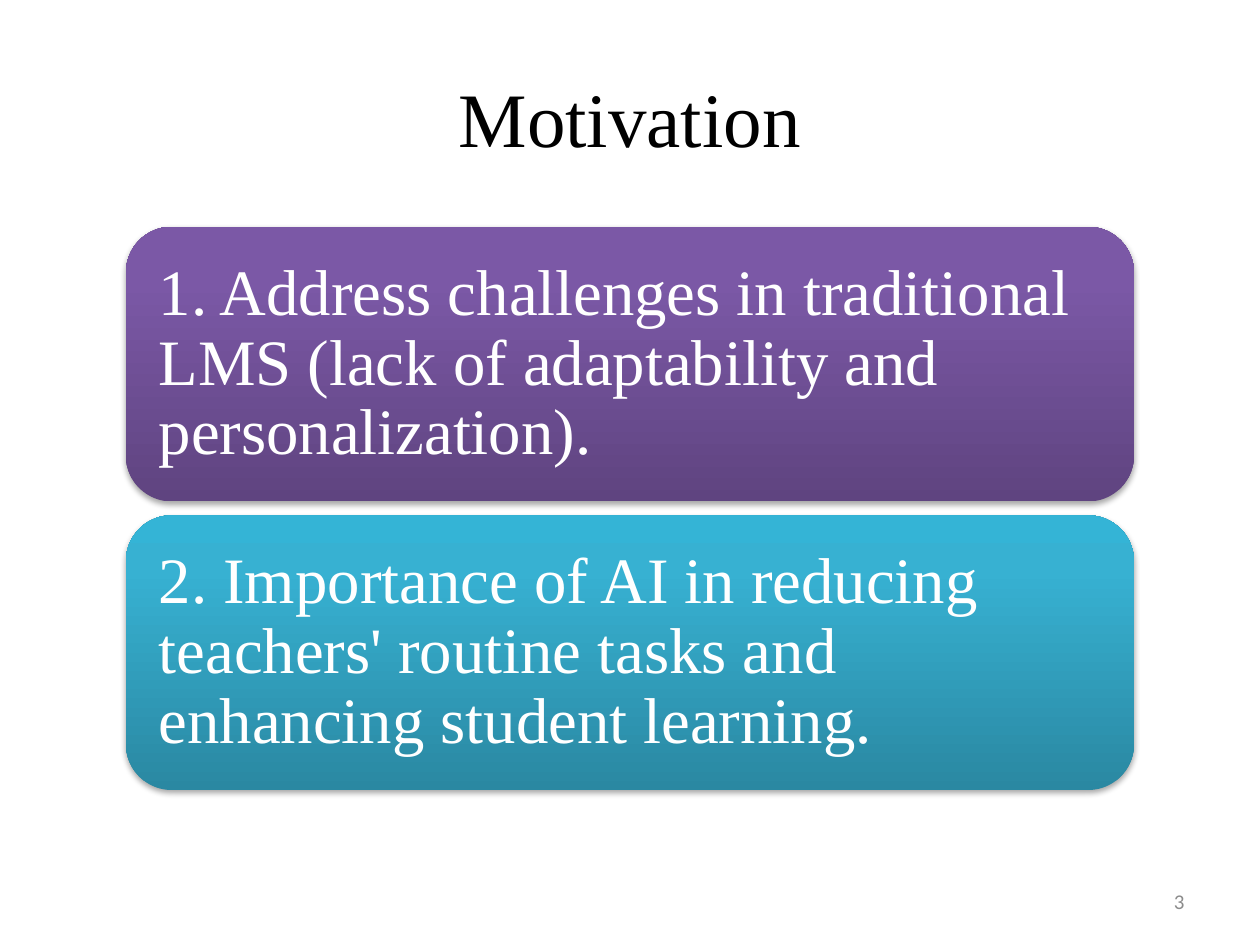
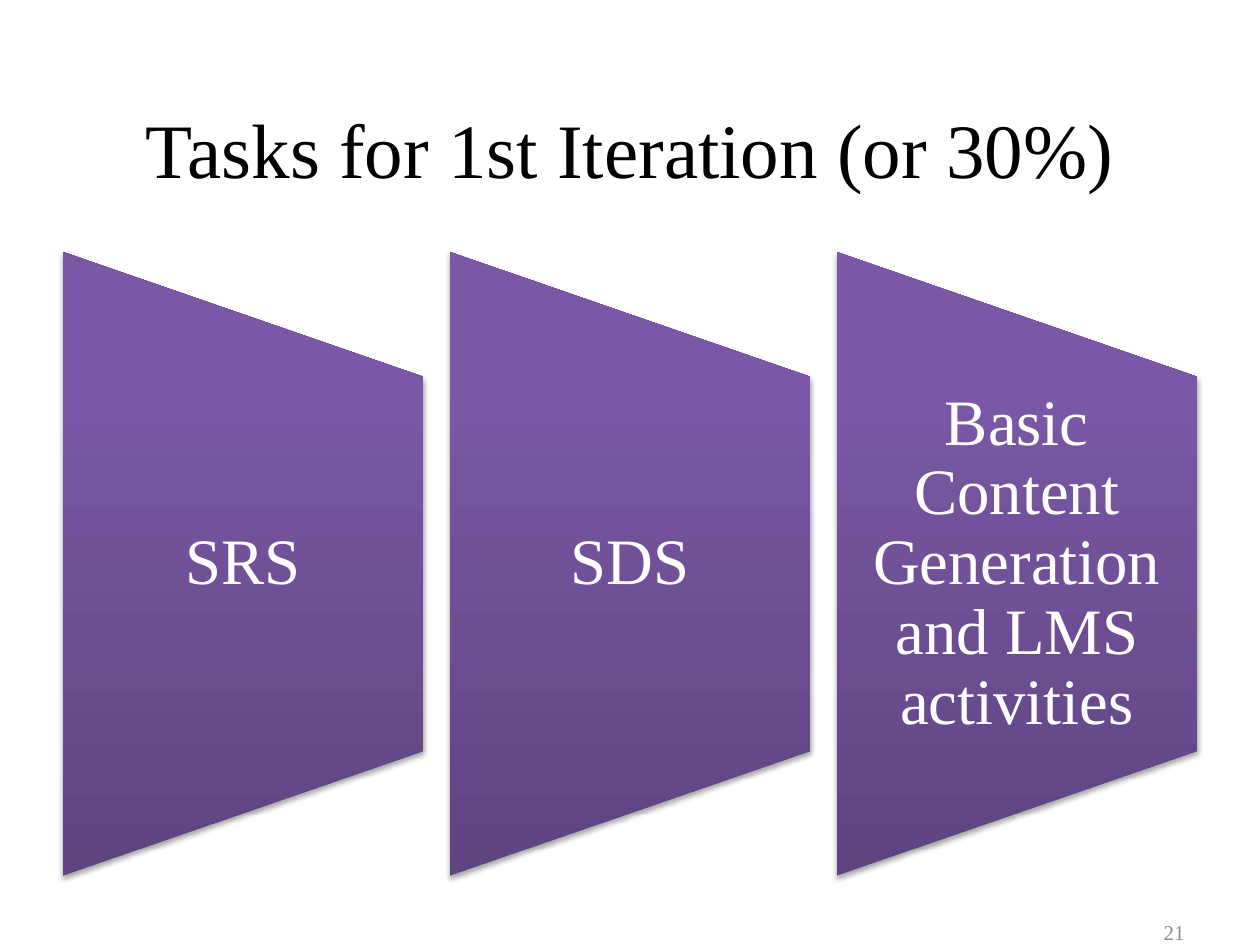
from pptx import Presentation
from pptx.dml.color import RGBColor
from pptx.enum.shapes import MSO_SHAPE as SHAPE
from pptx.enum.text import MSO_ANCHOR as ANCHOR, PP_ALIGN as ALIGN
from pptx.oxml import parse_xml
from pptx.oxml.ns import nsdecls, qn
from pptx.util import Inches, Pt

SERIF, SANS = "Times New Roman", "Calibri"
BLACK, WHITE, GREY = "000000", "FFFFFF", "8C8C8C"
PURPLE = ((0, "5F4480"), (80, "7B58A6"), (100, "7C57A8"))
TEAL = ((0, "2A88A2"), (80, "37B1D2"), (100, "34B4D6"))


def rgb(value):
    return RGBColor.from_string(value)


def set_text(tf, text, size, color, font=SERIF, align=ALIGN.LEFT):
    tf.word_wrap = True
    tf.vertical_anchor = ANCHOR.MIDDLE
    p = tf.paragraphs[0]
    p.text = text
    p.alignment = align
    p.font.size = Pt(size)
    p.font.name = font
    p.font.color.rgb = rgb(color)
    return p


def add_text(slide, box, text, size, color, font=SERIF, align=ALIGN.LEFT, insets=(0.1, 0.05)):
    tf = slide.shapes.add_textbox(*map(Inches, box)).text_frame
    tf.margin_left = tf.margin_right = Inches(insets[0])
    tf.margin_top = tf.margin_bottom = Inches(insets[1])
    return set_text(tf, text, size, color, font, align)


def add_panel(slide, kind, box, stops, rotation=0):
    sp = slide.shapes.add_shape(kind, *map(Inches, box))
    sp.rotation = rotation
    sp.line.fill.background()
    sp.shadow.inherit = False
    stop_xml = "".join(
        f'<a:gs pos="{pos * 1000}"><a:srgbClr val="{color}"/></a:gs>' for pos, color in stops)
    gradient = parse_xml(
        f'<a:gradFill {nsdecls("a")} rotWithShape="0"><a:gsLst>{stop_xml}</a:gsLst>'
        '<a:lin ang="16200000" scaled="0"/></a:gradFill>')
    shadow = parse_xml(
        f'<a:outerShdw {nsdecls("a")} blurRad="{Pt(3.1)}" dist="{Pt(1.8)}" dir="5400000" '
        f'rotWithShape="0"><a:srgbClr val="{BLACK}"><a:alpha val="35000"/></a:srgbClr></a:outerShdw>')
    props = sp._element.spPr
    props.find(qn("a:ln")).addprevious(gradient)
    props.find(qn("a:effectLst")).append(shadow)


def add_label(slide, box, text, insets, align=ALIGN.LEFT):
    add_text(slide, box, text, 37, WHITE, align=align, insets=insets).line_spacing = 0.9


def add_titled_slide(prs, title, title_top, number, number_top, number_font):
    slide = prs.slides.add_slide(prs.slide_layouts[5])
    sp = slide.shapes.title
    sp.left, sp.top, sp.width, sp.height = map(Inches, (0.5, title_top, 9, 1.25))
    set_text(sp.text_frame, title, 44, BLACK, align=ALIGN.CENTER)
    add_text(slide, (7.17, number_top, 2.33, 0.4), number, 12, GREY, number_font, ALIGN.RIGHT)
    return slide


def add_reasons(slide, box, reasons, gap=0.11, pad=0.11):
    left, top, width, height = box
    card_h = (height - gap * (len(reasons) - 1)) / len(reasons)
    for i, (text, stops) in enumerate(reasons):
        y = top + i * (card_h + gap)
        add_panel(slide, SHAPE.ROUNDED_RECTANGLE, (left, y, width, card_h), stops)
        add_label(slide, (left + pad, y + pad, width - 2 * pad, card_h - 2 * pad),
                  text, (0.15, 0.15))


def add_tasks(slide, box, tasks, gap=0.21):
    left, top, width, height = box
    task_w = (width - gap * (len(tasks) - 1)) / len(tasks)
    middle = top + height / 2
    for i, text in enumerate(tasks):
        x = left + i * (task_w + gap)
        unrotated = (x + (task_w - height) / 2, middle - task_w / 2, height, task_w)
        add_panel(slide, SHAPE.FLOWCHART_MANUAL_OPERATION, unrotated, PURPLE, 270)
        add_label(slide, (x, top + height / 5, task_w, height * 0.6),
                  text, (0.26, 0), ALIGN.CENTER)


def main():
    prs = Presentation()
    prs.slide_width, prs.slide_height = Inches(10), Inches(7.5)

    motivation = add_titled_slide(prs, "Motivation", 0.3, "3", 6.95, SANS)
    add_reasons(motivation, (1, 1.8, 8, 4.47), (
        ("1. Address challenges in traditional LMS (lack of adaptability and personalization).",
         PURPLE),
        ("2. Importance of AI in reducing teachers' routine tasks and enhancing student learning.",
         TEAL),
    ))

    iteration = add_titled_slide(prs, "Tasks for 1st Iteration (or 30%)", 0.55, "21", 7.2, SERIF)
    add_tasks(iteration, (0.5, 2, 9, 4.95),
              ("SRS", "SDS", "Basic Content Generation and LMS activities"))

    prs.save("out.pptx")


if __name__ == "__main__":
    main()
